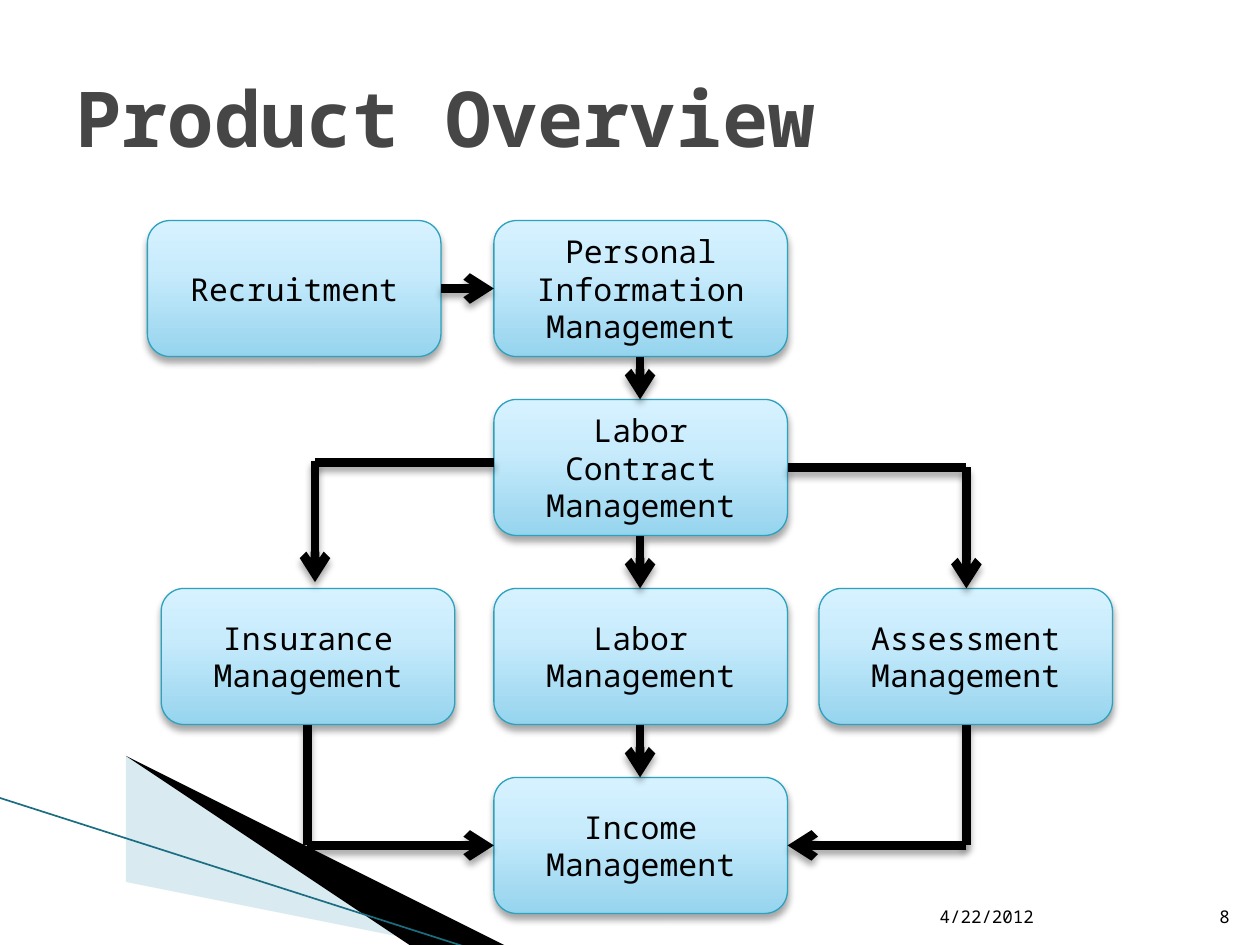
"""Build the Product Overview slide: a flowchart of management modules."""
from copy import deepcopy
from dataclasses import dataclass

from lxml import etree
from pptx import Presentation
from pptx.dml.color import RGBColor
from pptx.enum import shapes, text
from pptx.oxml.ns import qn
from pptx.util import Inches, Pt

FONT = "Noto Sans Mono"
COLORS = {
    "black": "000000", "title": "464646", "border": "2DA2BF",
    "pale": "A0CBDC", "edge": "1B6E82",
}
GRADIENT = [(0, "96D4EE"), (0.65, "C9ECFC"), (1, "D7F2FF")]
BOX_W, BOX_H = 2.33, 1.08
MID_X, RIGHT_X = 3.92, 6.5
ROWS = [1.75, 3.17, 4.67, 6.17]
AXIS, RIGHT_AXIS, LEFT_IN, LEFT_OUT = 5.08, 7.67, 2.5, 2.44
MID_RIGHT, INCOME_Y = 6.25, 6.71


@dataclass
class Box:
    label: str
    x: float
    y: float


@dataclass
class Link:
    x1: float
    y1: float
    x2: float
    y2: float
    arrow: bool = False


BOXES = [
    Box("Recruitment", 1.17, ROWS[0]),
    Box("Personal Information Management", MID_X, ROWS[0]),
    Box("Labor Contract Management", MID_X, ROWS[1]),
    Box("Insurance Management", 1.28, ROWS[2]),
    Box("Labor Management", MID_X, ROWS[2]),
    Box("Assessment Management", RIGHT_X, ROWS[2]),
    Box("Income Management", MID_X, ROWS[3]),
]
LINKS = [
    Link(3.5, 2.29, MID_X, 2.29, True),
    *(Link(AXIS, a + BOX_H, AXIS, b, True) for a, b in zip(ROWS, ROWS[1:])),
    Link(RIGHT_AXIS, 3.71, RIGHT_AXIS, ROWS[2], True),
    Link(MID_RIGHT, 3.71, RIGHT_AXIS, 3.71),
    Link(LEFT_IN, 3.67, MID_X, 3.67),
    Link(LEFT_IN, 3.66, LEFT_IN, 4.62, True),
    Link(LEFT_OUT, INCOME_Y, MID_X, INCOME_Y, True),
    Link(LEFT_OUT, INCOME_Y, LEFT_OUT, 5.75),
    Link(RIGHT_AXIS, INCOME_Y, RIGHT_AXIS, 5.75),
    Link(RIGHT_AXIS, INCOME_Y, MID_RIGHT, INCOME_Y, True),
]


def rgb(name: str) -> RGBColor:
    """Return a palette colour."""
    return RGBColor.from_string(COLORS[name])


def write(sp, words: str, size: float = 18, color: str = "black", bold: bool = False,
          align=text.PP_ALIGN.LEFT, anchor=text.MSO_ANCHOR.MIDDLE) -> None:
    """Put formatted text into a shape."""
    tf = sp.text_frame
    tf.word_wrap = True
    tf.vertical_anchor = anchor
    p = tf.paragraphs[0]
    p.alignment = align
    r = p.add_run()
    r.text = words
    r.font.name, r.font.size, r.font.bold = FONT, Pt(size), bold
    r.font.color.rgb = rgb(color)


def set_effects(sp, shadow: bool = True) -> None:
    """Give a shape a soft shadow below it, or no effect at all."""
    props = sp._element.spPr
    effects = props.find(qn("a:effectLst"))
    if effects is None:
        effects = etree.SubElement(props, qn("a:effectLst"))
    if shadow:
        outer = etree.SubElement(effects, qn("a:outerShdw"), blurRad=str(Pt(4)),
                                 dist=str(Pt(3)), dir="5400000", rotWithShape="0")
        color = etree.SubElement(outer, qn("a:srgbClr"), val=COLORS["black"])
        etree.SubElement(color, qn("a:alpha"), val="35000")


def add_box(s, box: Box) -> None:
    """Draw one module of the flowchart."""
    sp = s.shapes.add_shape(shapes.MSO_SHAPE.ROUNDED_RECTANGLE, Inches(box.x),
                            Inches(box.y), Inches(BOX_W), Inches(BOX_H))
    sp.fill.gradient()
    sp.fill.gradient_angle = 90
    stops = sp._element.spPr.find(qn("a:gradFill")).find(qn("a:gsLst"))
    stops.append(deepcopy(stops[-1]))
    for stop, (position, color) in zip(sp.fill.gradient_stops, GRADIENT):
        stop.position = position
        stop.color.rgb = RGBColor.from_string(color)
    sp.line.color.rgb = rgb("border")
    sp.line.width = Pt(0.75)
    set_effects(sp)
    write(sp, box.label, align=text.PP_ALIGN.CENTER)


def add_link(s, link: Link, color: str = "black", width: float = 5,
             shadow: bool = True) -> None:
    """Draw a straight line, with an arrowhead if asked."""
    c = s.shapes.add_connector(shapes.MSO_CONNECTOR.STRAIGHT, Inches(link.x1),
                               Inches(link.y1), Inches(link.x2), Inches(link.y2))
    c.line.color.rgb = rgb(color)
    c.line.width = Pt(width)
    if link.arrow:
        etree.SubElement(c.line._get_or_add_ln(), qn("a:tailEnd"), type="arrow")
    set_effects(c, shadow)


def add_wedge(s, points: list[tuple[float, float]], color: str, alpha: int = 100) -> None:
    """Draw a filled corner wedge."""
    builder = s.shapes.build_freeform(*points[0], scale=Inches(1))
    builder.add_line_segments(points[1:], close=True)
    sp = builder.convert_to_shape()
    sp.fill.solid()
    sp.fill.fore_color.rgb = rgb(color)
    if alpha < 100:
        fill = sp._element.spPr.find(qn("a:solidFill"))
        etree.SubElement(fill[0], qn("a:alpha"), val=str(alpha * 1000))
    sp.line.fill.background()
    set_effects(sp, shadow=False)


def add_footer(s, words: str, x: float, w: float, align) -> None:
    """Write a footer item."""
    sp = s.shapes.add_textbox(Inches(x), Inches(7.01), Inches(w), Inches(0.4))
    write(sp, words, size=10, align=align, anchor=text.MSO_ANCHOR.BOTTOM)


def main() -> None:
    """Assemble and save the slide."""
    prs = Presentation()
    prs.slide_width, prs.slide_height = Inches(10), Inches(7.5)
    s = prs.slides.add_slide(prs.slide_layouts[5])
    add_wedge(s, [(0.55, 6.51), (5.95, 7.51), (4.56, 7.51), (0.55, 6.5)], "pale", 40)
    add_wedge(s, [(0.53, 6.49), (4.57, 7.51), (3.72, 7.52), (0.54, 6.5)], "black")
    add_link(s, Link(-0.01, 6.33, 3.71, 7.52), "edge", 0.95, shadow=False)
    add_footer(s, "4/22/2012", 7.36, 2.1, text.PP_ALIGN.LEFT)
    add_footer(s, "8", 9.46, 0.4, text.PP_ALIGN.RIGHT)
    title = s.shapes.title
    title.left, title.top = Inches(0.5), Inches(0.3)
    title.width, title.height = Inches(9), Inches(1.25)
    write(title, "Product Overview", size=44, color="title", bold=True)
    for box in BOXES:
        add_box(s, box)
    for link in LINKS:
        add_link(s, link)
    prs.save("out.pptx")


if __name__ == "__main__":
    main()
